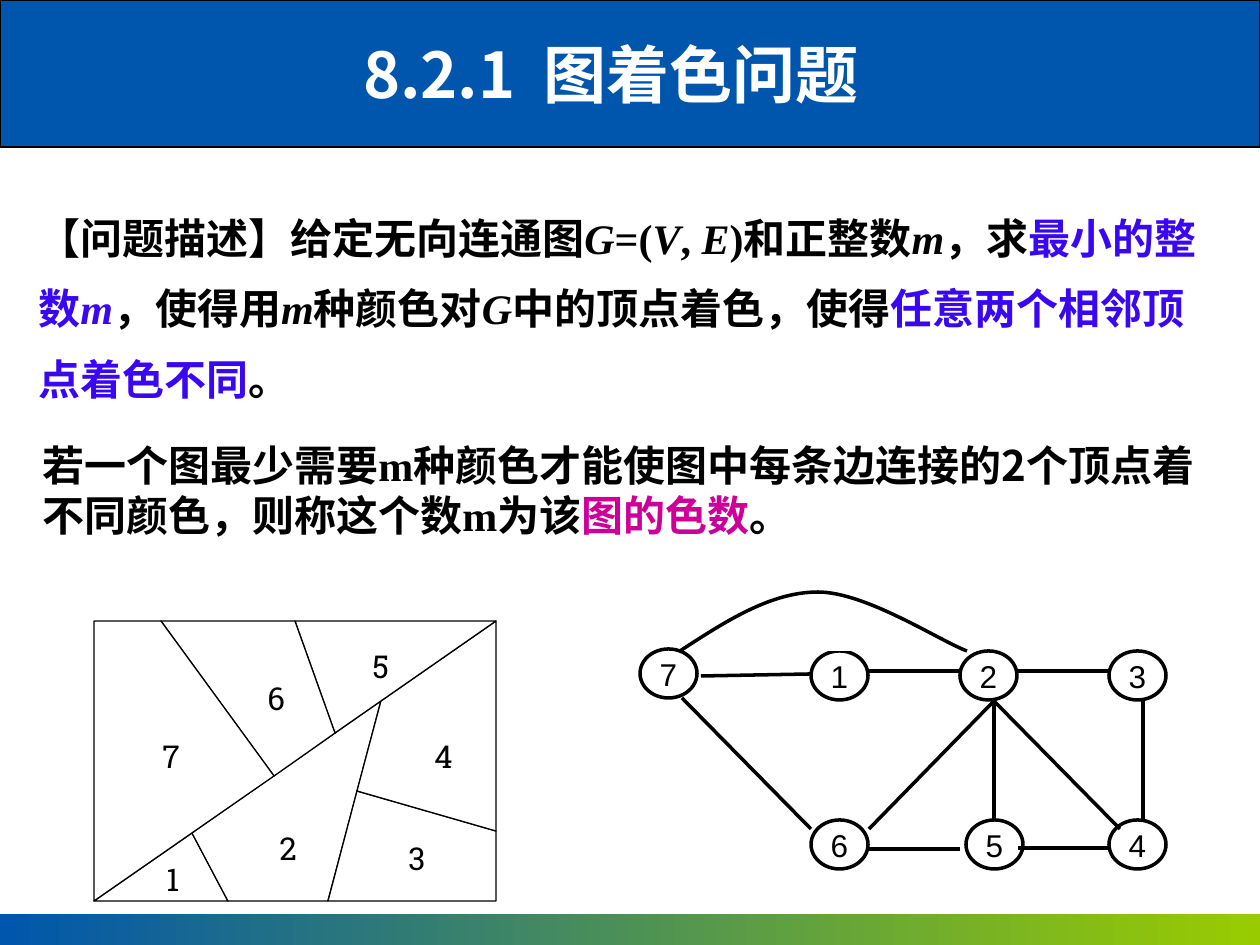
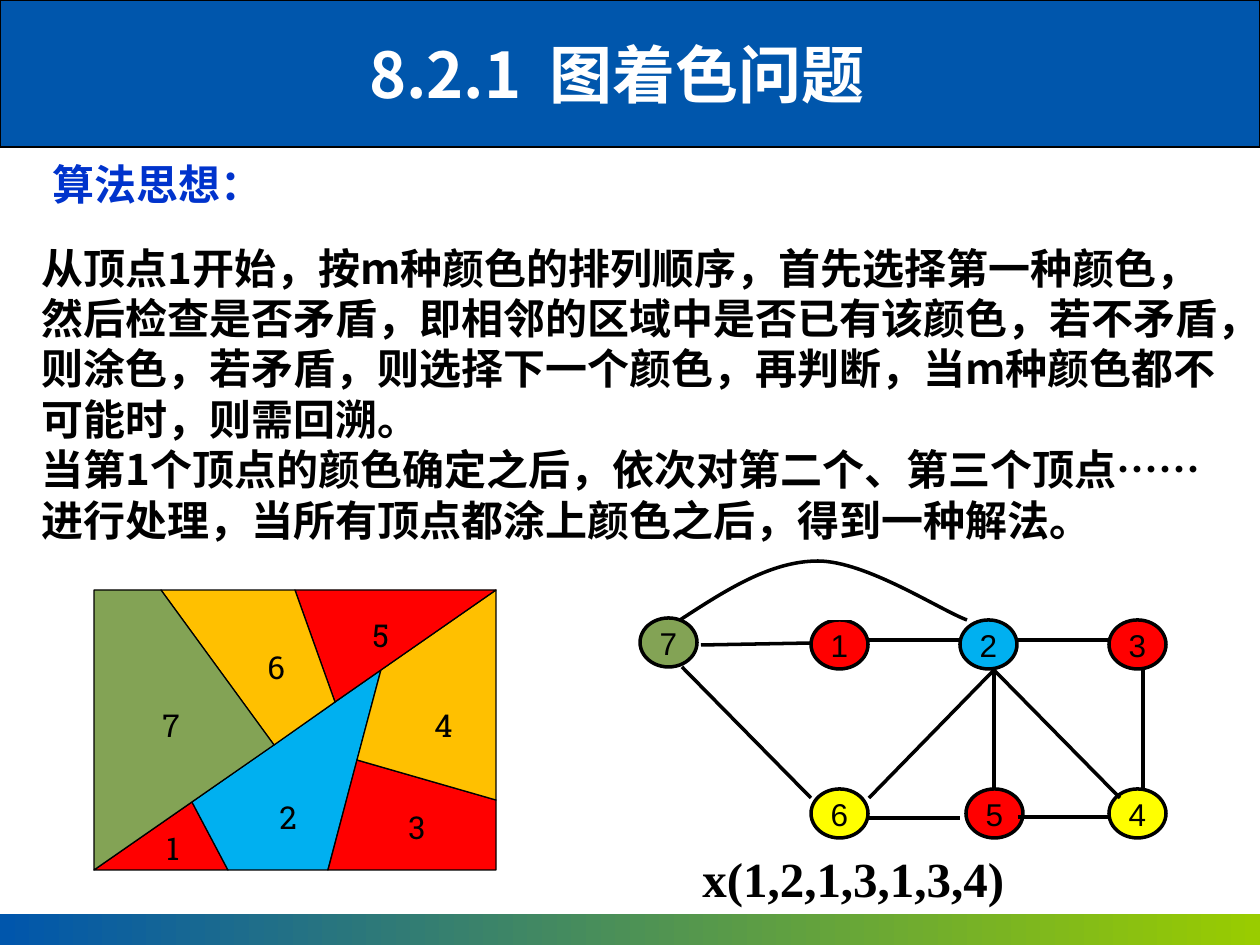
from lxml.etree import SubElement
from pptx import Presentation
from pptx.dml.color import RGBColor
from pptx.enum.shapes import MSO_CONNECTOR, MSO_SHAPE
from pptx.enum.text import MSO_ANCHOR, MSO_AUTO_SIZE, PP_ALIGN
from pptx.oxml.ns import qn
from pptx.util import Pt

SCALE = 914400 / 126  # EMU in one pixel
WIDTH, HEIGHT = 1260, 945

BLACK = RGBColor(0x00, 0x00, 0x00)
WHITE = RGBColor(0xFF, 0xFF, 0xFF)
BAND_BLUE = RGBColor(0x00, 0x56, 0xAC)
BAND_LIME = RGBColor(0x99, 0xCC, 0x00)
VIOLET = RGBColor(0x39, 0x07, 0xF1)
MAGENTA = RGBColor(0xCC, 0x00, 0x99)
HEADING_BLUE = RGBColor(0x00, 0x33, 0xCC)
RED = RGBColor(0xFF, 0x00, 0x00)
SKY = RGBColor(0x00, 0xB0, 0xF0)
AMBER = RGBColor(0xFF, 0xC0, 0x00)
YELLOW = RGBColor(0xFF, 0xFF, 0x00)
GREEN = RGBColor(0x83, 0xA3, 0x55)

CHINESE, SERIF, SLAB, SANS = "Noto Sans CJK SC", "Times New Roman", "Roboto Slab", "Arial"
BODY = {"name": CHINESE, "size": Pt(24), "bold": True, "color": BLACK}
TITLE = {**BODY, "size": Pt(36), "color": WHITE}
LATIN = {**BODY, "name": SERIF}
ITALIC = {**LATIN, "italic": True}
ACCENT = {**BODY, "color": VIOLET}
REGION_LABEL = {"name": SLAB, "size": Pt(18), "color": BLACK}
NODE_LABEL = {**REGION_LABEL, "name": SANS}


def write(shape, paragraphs, wrap=True, **paragraph_format):
    """Fill a shape with paragraphs, each a list of (text, format) spans."""
    frame = shape.text_frame
    frame.word_wrap = wrap
    for index, spans in enumerate(paragraphs):
        para = frame.add_paragraph() if index else frame.paragraphs[0]
        for name, value in paragraph_format.items():
            setattr(para, name, value)
        for text, text_format in spans:
            span = para.add_run()
            span.text = text
            for name, value in text_format.items():
                if name == "color":
                    span.font.color.rgb = value
                elif name == "spacing":
                    span.font._element.set("spc", str(value))
                else:
                    setattr(span.font, name, value)
            if text_format["name"] == CHINESE:
                SubElement(span.font._element, qn("a:ea"), typeface=CHINESE)


def add_text(shapes, place, paragraphs, **options):
    """Add a text box, placed in pixels, that grows with its text."""
    box = shapes.add_textbox(*[round(value * SCALE) for value in place])
    write(box, paragraphs, **options)
    box.text_frame.auto_size = MSO_AUTO_SIZE.SHAPE_TO_FIT_TEXT


deck = Presentation()
deck.slide_width = round(WIDTH * SCALE)
deck.slide_height = round(HEIGHT * SCALE)
blank = deck.slide_layouts[6]
pages = [deck.slides.add_slide(blank) for _ in range(2)]

# The two bands belong to the layout, so both slides show them.
for number, (top, height) in enumerate([(0, 147), (914, 31)]):
    band = pages[0].shapes.add_shape(
        MSO_SHAPE.RECTANGLE, 0, round(top * SCALE), deck.slide_width, round(height * SCALE))
    band.shadow.inherit = False
    if top == 0:
        band.fill.solid()
        band.fill.fore_color.rgb = BAND_BLUE
        band.line.color.rgb = BLACK
        band.line.width = Pt(0.75)
    else:
        band.fill.gradient()
        band.fill.gradient_angle = 0
        for stop, color, position in zip(band.fill.gradient_stops, (BAND_BLUE, BAND_LIME), (0, 1)):
            stop.color.rgb = color
            stop.position = position
        band.line.fill.background()
    band.element.xpath(".//p:cNvPr")[0].set("id", str(20 + number))
    blank.shapes.element.insert(2 + number, band.element)

for page, left in zip(pages, (212, 218)):
    add_text(page.shapes, (left, 29, 798, 89),
             [[("8.2.1", TITLE), (" ", {**TITLE, "spacing": 800}), ("图着色问题", TITLE)]],
             alignment=PP_ALIGN.CENTER)

# Slide 1: the problem
add_text(pages[0].shapes, (30, 433, 1186, 115), [[
    ("若一个图最少需要", BODY), ("m", LATIN),
    ("种颜色才能使图中每条边连接的2个顶点着不同颜色，则称这个数", BODY), ("m", LATIN),
    ("为该", BODY), ("图的色数", {**BODY, "color": MAGENTA}), ("。", BODY)]])
add_text(pages[0].shapes, (26, 186, 1189, 227), [[
    ("【问题描述】给定无向连通图", BODY), ("G", ITALIC), ("=(", LATIN), ("V", ITALIC),
    (", ", LATIN), ("E", ITALIC), (")", LATIN), ("和正整数", BODY), ("m", ITALIC),
    ("，求", BODY), ("最小的整数", ACCENT), ("m", {**ITALIC, "color": VIOLET}),
    ("，使得用", BODY), ("m", ITALIC), ("种颜色对", BODY), ("G", ITALIC),
    ("中的顶点着色，使得", BODY), ("任意两个相邻顶点着色不同", ACCENT), ("。", BODY)]],
    line_spacing=1.4)

# Slide 2: the method
add_text(pages[1].shapes, (40, 152, 473, 63), [[("算法思想：", {**BODY, "color": HEADING_BLUE})]])
add_text(pages[1].shapes, (29, 236, 1202, 318), [
    [("从顶点1开始，按m种颜色的排列顺序，首先选择第一种颜色，然后检查是否矛盾，"
      "即相邻的区域中是否已有该颜色，若不矛盾，则涂色，若矛盾，则选择下一个颜色，"
      "再判断，当m种颜色都不可能时，则需回溯。", BODY)],
    [("当第1个顶点的颜色确定之后，依次对第二个、第三个顶点……进行处理，"
      "当所有顶点都涂上颜色之后，得到一种解法。", BODY)]])
add_text(pages[1].shapes, (690, 842, 328, 72),
         [[("x(1,2,1,3,1,3,4)", {**LATIN, "size": Pt(28)})]], wrap=False)

# Region number: outline, label corner
REGIONS = {
    1: ([(94, 901), (228, 901), (192, 833)], (154, 854)),
    2: ([(228, 901), (328, 901), (381, 701), (192, 833)], (267, 823)),
    3: ([(328, 901), (496, 901), (496, 831), (357, 791)], (396, 833)),
    4: ([(496, 831), (496, 621), (381, 701), (357, 791)], (422, 731)),
    5: ([(496, 621), (295, 621), (335, 733)], (360, 641)),
    6: ([(295, 621), (161, 621), (274, 776), (335, 733)], (255, 673)),
    7: ([(94, 621), (94, 901), (274, 776), (161, 621)], (150, 731)),
}
NODES = {1: (811, 651), 2: (960, 651), 3: (1109, 651), 4: (1109, 820),
         5: (966, 820), 6: (811, 820), 7: (640, 649)}
EDGES = [
    (1143, 701, 1143, 820), (869, 671, 960, 671), (1017, 671, 1109, 671),
    (869, 829, 994, 701), (994, 701, 1120, 829), (701, 676, 811, 674),
    (869, 849, 960, 849), (1018, 848, 1109, 848), (682, 698, 811, 829),
    (994, 702, 994, 821),
]
ARC = [(680, 651), (726, 621), (771, 592), (818, 592), (866, 592), (940, 641), (967, 651)]

PLAIN = dict.fromkeys(REGIONS, WHITE)
REGION_COLORS = {1: RED, 2: SKY, 3: RED, 4: AMBER, 5: RED, 6: AMBER, 7: GREEN}
NODE_COLORS = {**REGION_COLORS, 4: YELLOW, 6: YELLOW}

for page, rise, region_colors, node_colors in [
        (pages[0], 0, PLAIN, PLAIN), (pages[1], 31, REGION_COLORS, NODE_COLORS)]:
    region_map = page.shapes.add_group_shape().shapes
    graph = page.shapes.add_group_shape().shapes
    painted = []  # shape, fill colour, line width in points

    for number, (outline, _) in REGIONS.items():
        points = [(x, y - rise) for x, y in outline]
        builder = region_map.build_freeform(*points[0], scale=SCALE)
        builder.add_line_segments(points[1:], close=True)
        painted.append((builder.convert_to_shape(), region_colors[number], 0.75))
    for number, (_, (left, top)) in REGIONS.items():
        add_text(region_map, (left, top - rise, 44, 50),
                 [[(str(number), REGION_LABEL)]], wrap=False)

    for number, (left, top) in NODES.items():
        place = [round(value * SCALE) for value in (left, top - rise, 57, 49)]
        node = graph.add_shape(MSO_SHAPE.OVAL, *place)
        write(node, [[(str(number), NODE_LABEL)]], wrap=False, alignment=PP_ALIGN.CENTER)
        node.text_frame.vertical_anchor = MSO_ANCHOR.MIDDLE
        painted.append((node, node_colors[number], 2))

    for x1, y1, x2, y2 in EDGES:
        ends = [round(value * SCALE) for value in (x1, y1 - rise, x2, y2 - rise)]
        edge = graph.add_connector(MSO_CONNECTOR.STRAIGHT, *ends)
        edge.line.color.rgb = BLACK
        edge.line.width = Pt(2)
        SubElement(edge.element.spPr, qn("a:effectLst"))

    points = [(x, y - rise) for x, y in ARC]
    builder = graph.build_freeform(*points[0], scale=SCALE)
    builder.add_line_segments(points[1:], close=False)
    arc = builder.convert_to_shape()
    segments = arc.element.xpath(".//a:lnTo")
    outline = segments[0].getparent()
    for start in (0, 3):  # every three points make one Bezier curve
        curve = SubElement(outline, qn("a:cubicBezTo"))
        for segment in segments[start:start + 3]:
            curve.append(segment[0])
            outline.remove(segment)
    painted.append((arc, WHITE, 2))

    for shape, color, line_width in painted:
        shape.shadow.inherit = False
        shape.fill.solid()
        shape.fill.fore_color.rgb = color
        shape.line.color.rgb = BLACK
        shape.line.width = Pt(line_width)

deck.save("out.pptx")
